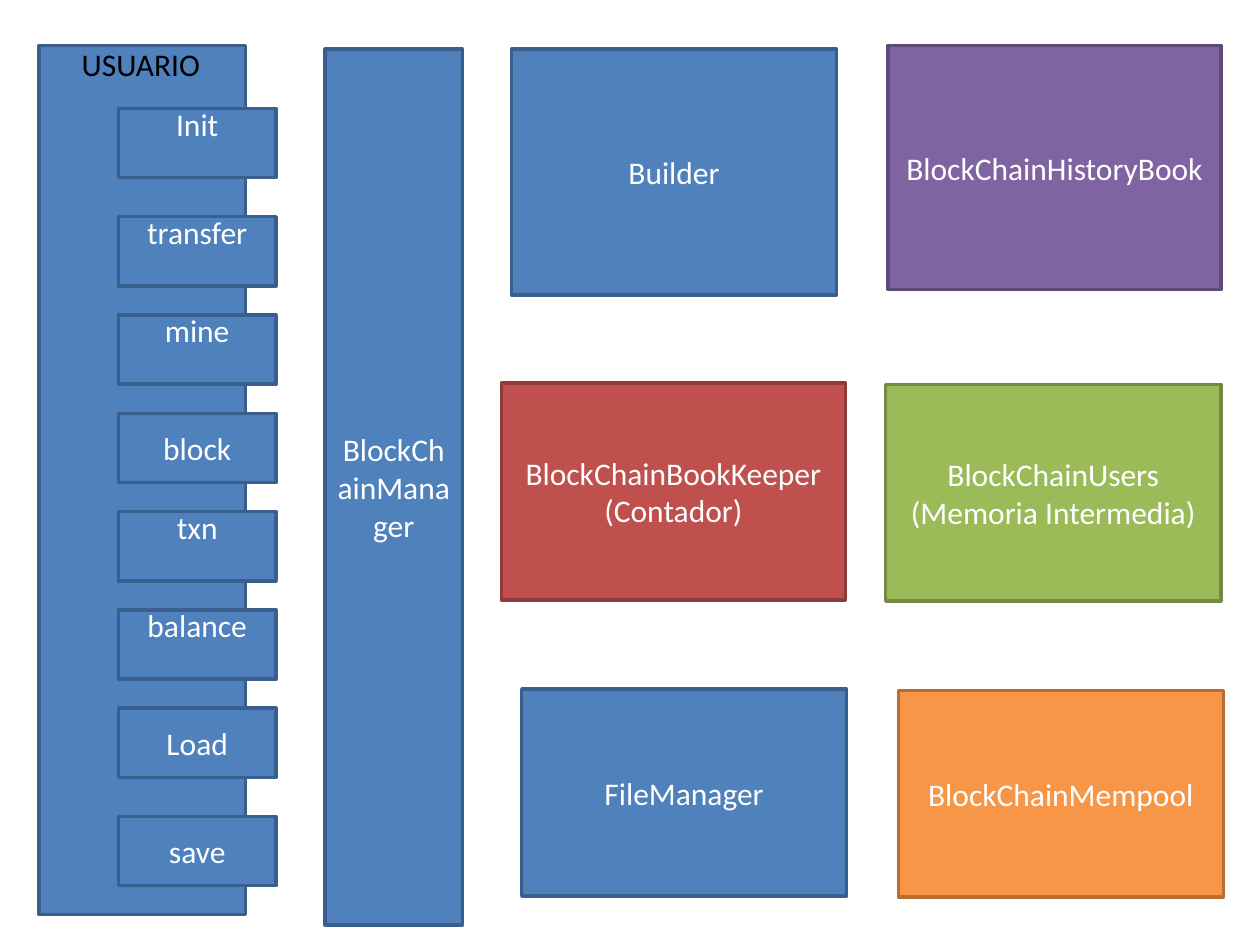
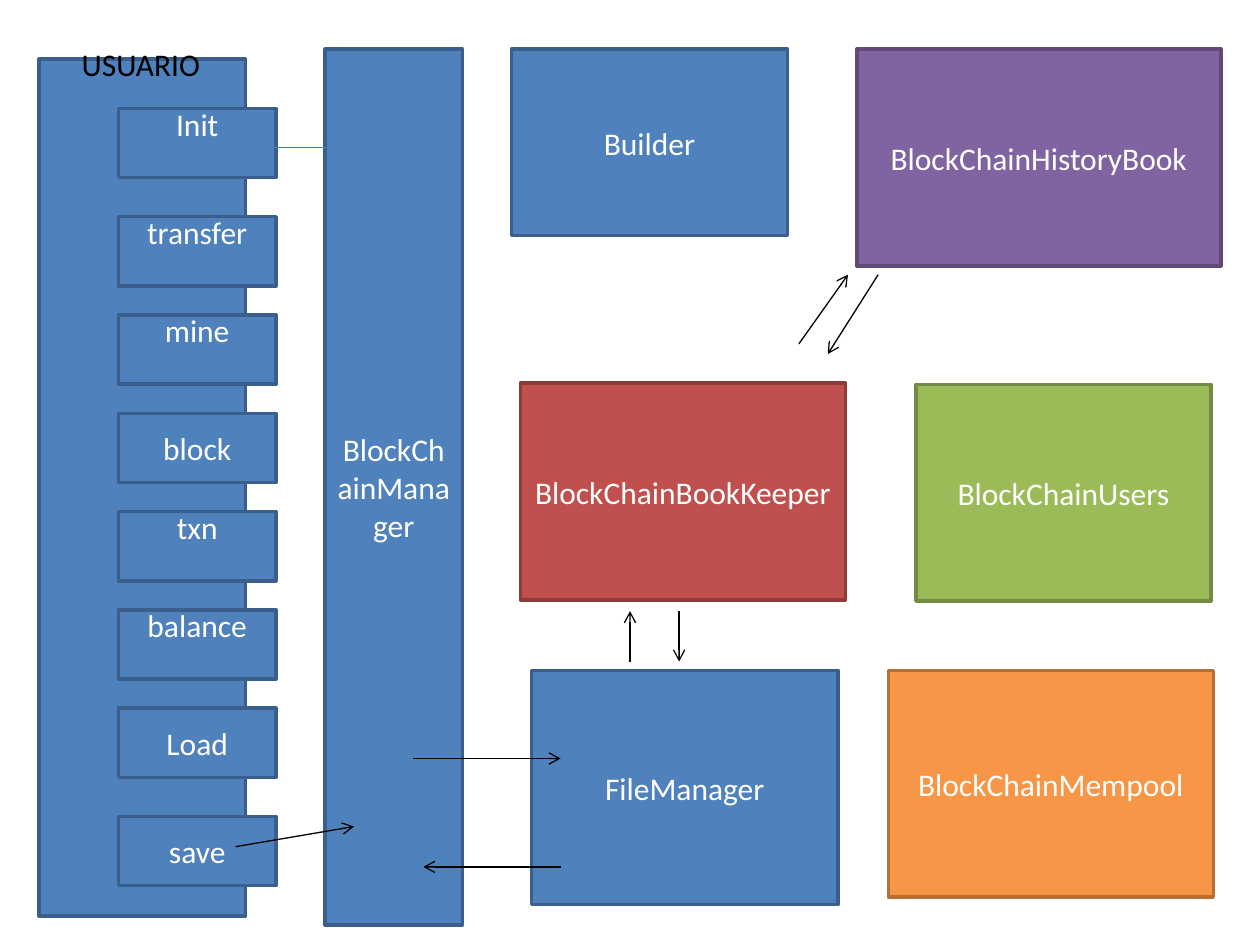
from typing import NamedTuple

from lxml import etree
from pptx import Presentation
from pptx.dml.color import RGBColor
from pptx.enum.shapes import MSO_CONNECTOR, MSO_SHAPE
from pptx.enum.text import MSO_ANCHOR, PP_ALIGN
from pptx.oxml.ns import qn
from pptx.util import Pt

RECT = MSO_SHAPE.RECTANGLE
LINE = MSO_CONNECTOR.STRAIGHT
MID, TOP = MSO_ANCHOR.MIDDLE, MSO_ANCHOR.TOP
LEFT, MIDDLE = PP_ALIGN.LEFT, PP_ALIGN.CENTER

PX = 9144  # 100 px to the inch
FONT = "Calibri"
COLORS = {
    "blue": "4F81BD", "blue_edge": "3A5F8C",
    "purple": "8064A2", "purple_edge": "5F4A78",
    "orange": "F79646", "orange_edge": "B76F34",
    "red": "C0504D", "red_edge": "8E3B39",
    "green": "9BBB59", "green_edge": "738A42",
    "link": "4B7EBC", "black": "000000", "white": "FFFFFF",
}


class Box(NamedTuple):
    x: int
    y: int
    w: int
    h: int
    text: str = ""
    color: str = "blue"
    foot: int = 5  # bottom inset


class Arrow(NamedTuple):
    x1: int
    y1: int
    x2: int
    y2: int
    color: str = "black"


# Commands of the user panel; raised ones carry their label higher
TABS = ["Init", "transfer", "mine", "block", "txn", "balance", "Load", "save"]
RAISED = {"Init", "transfer", "mine", "txn", "balance"}
TAB_TOP, TAB_STEP, END_GAP = 94, 78, 8

MANAGER = Box(258, 39, 109, 695, "BlockChainManager")

# Panel and modules of each slide
PLAN = [
    Box(31, 36, 164, 690),
    Box(406, 39, 258, 195, "Builder"),
    Box(414, 547, 258, 164, "FileManager"),
    Box(705, 36, 264, 194, "BlockChainHistoryBook", "purple"),
    Box(713, 548, 258, 164, "BlockChainMempool", "orange"),
    Box(398, 304, 273, 172, "BlockChainBookKeeper (Contador)", "red"),
    Box(703, 305, 266, 172, "BlockChainUsers (Memoria Intermedia)", "green"),
]
FLOW = [
    Box(31, 47, 164, 680),
    Box(406, 39, 219, 148, "Builder"),
    Box(422, 532, 243, 186, "FileManager"),
    Box(680, 39, 289, 172, "BlockChainHistoryBook", "purple"),
    Box(705, 532, 258, 180, "BlockChainMempool", "orange"),
    Box(413, 304, 258, 172, "BlockChainBookKeeper", "red"),
    Box(727, 305, 234, 172, "BlockChainUsers", "green"),
]
ARROWS = [
    Arrow(187, 117, 281, 117, "link"),
    Arrow(187, 672, 281, 656),
    Arrow(328, 602, 445, 602),
    Arrow(634, 273, 673, 218),
    Arrow(500, 525, 500, 485),
    Arrow(697, 218, 657, 281),
    Arrow(539, 485, 539, 525),
    Arrow(445, 688, 336, 688),
]


def rgb(name: str) -> RGBColor:
    return RGBColor.from_string(COLORS[name])


def put_text(shape, text: str, *, color: str = "white", align=MIDDLE,
             anchor=MID, wrap: bool = True, foot: int = 5) -> None:
    frame = shape.text_frame
    frame.word_wrap = wrap
    frame.vertical_anchor = anchor
    frame.margin_bottom = foot * PX
    para = frame.paragraphs[0]
    para.alignment = align
    run = para.add_run()
    run.text = text
    run.font.name, run.font.size = FONT, Pt(18)
    run.font.color.rgb = rgb(color)


def draw_box(slide, box: Box) -> None:
    shape = slide.shapes.add_shape(RECT, *(v * PX for v in box[:4]))
    shape.shadow.inherit = False
    shape.fill.solid()
    shape.fill.fore_color.rgb = rgb(box.color)
    shape.line.color.rgb = rgb(box.color + "_edge")
    shape.line.width = Pt(2)
    if box.text:
        put_text(shape, box.text, foot=box.foot)


def draw_arrow(slide, arrow: Arrow) -> None:
    line = slide.shapes.add_connector(LINE, *(v * PX for v in arrow[:4]))
    line.line.color.rgb = rgb(arrow.color)
    line.line.width = Pt(0.75)
    etree.SubElement(line.line._get_or_add_ln(), qn("a:tailEnd"), type="arrow")
    etree.SubElement(line._element.spPr, qn("a:effectLst"))


def tab_box(i: int, name: str) -> Box:
    # The first and last tabs stand a little further apart
    shift = {0: -END_GAP, len(TABS) - 1: END_GAP}.get(i, 0)
    foot = 36 if name in RAISED else 5
    return Box(94, TAB_TOP + i * TAB_STEP + shift, 125, 55, name, foot=foot)


def draw_slide(deck, boxes: list[Box], arrows: list[Arrow]) -> None:
    slide = deck.slides.add_slide(deck.slide_layouts[6])
    panel, *parts = boxes
    tabs = [tab_box(i, name) for i, name in enumerate(TABS)]
    for box in [panel, *tabs, MANAGER, *parts]:
        draw_box(slide, box)
    # Panel heading
    title = slide.shapes.add_textbox(*(v * PX for v in (55, 31, 115, 40)))
    put_text(title, "USUARIO", color="black", align=LEFT, anchor=TOP, wrap=False)
    for arrow in arrows:
        draw_arrow(slide, arrow)


def main() -> None:
    deck = Presentation()
    deck.slide_width, deck.slide_height = 1000 * PX, 750 * PX
    draw_slide(deck, PLAN, [])
    draw_slide(deck, FLOW, ARROWS)
    deck.save("out.pptx")


if __name__ == "__main__":
    main()
